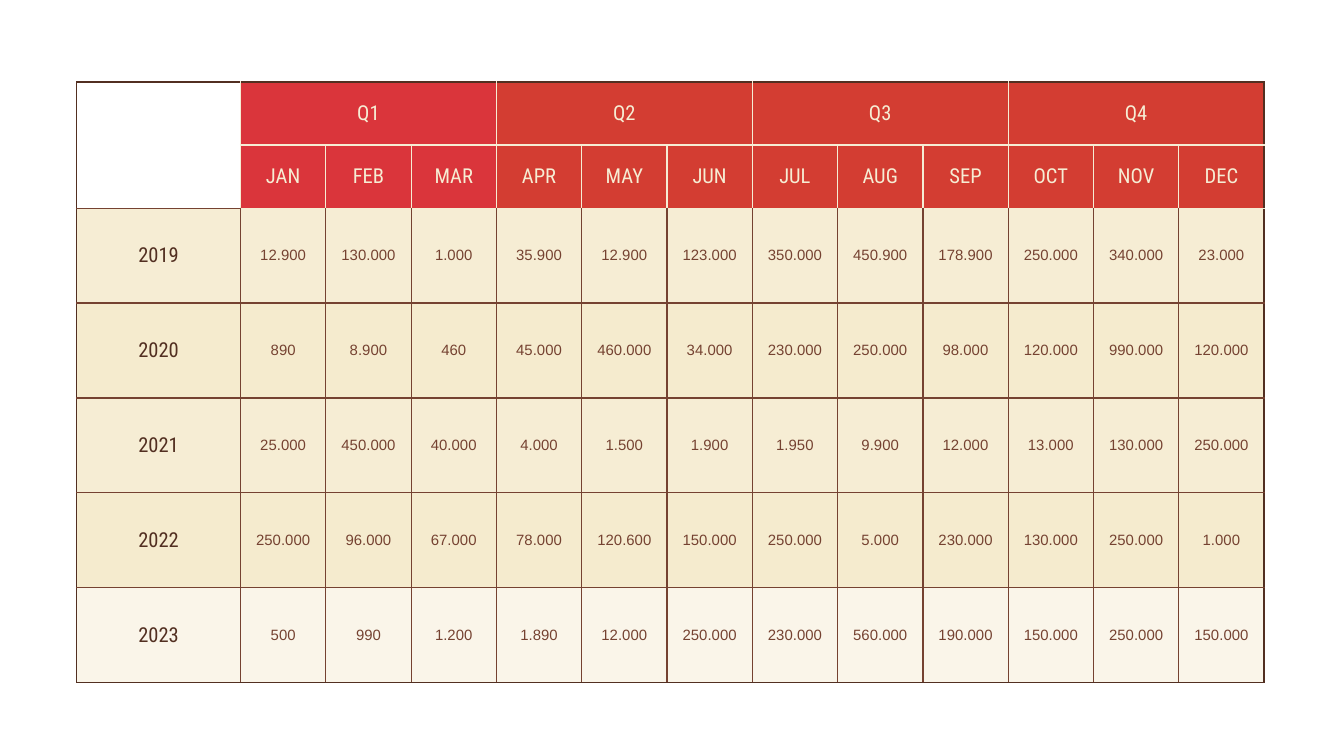
import pptx
import pptx.dml.color
import pptx.enum.text
import pptx.oxml.ns
import pptx.util
from lxml import etree

RGBColor = pptx.dml.color.RGBColor
WHITE = RGBColor(0xFF, 0xFF, 0xFF)
CRIMSON = RGBColor(0xDA, 0x35, 0x3B)
RED = RGBColor(0xD3, 0x3D, 0x32)
CREAM = RGBColor(0xF6, 0xED, 0xD4)
SAND = RGBColor(0xED, 0xD8, 0x9E)
BROWN = RGBColor(0x75, 0x42, 0x31)
DARK_BROWN = RGBColor(0x52, 0x2F, 0x21)

SLIDE_WIDTH = 10
SLIDE_HEIGHT = SLIDE_WIDTH * 9 / 16
LEFT, TOP, WIDTH, HEIGHT = 0.57, 0.61, 8.84, 4.47
YEAR_WIDTH, HEADER_HEIGHT, HEADER_ROWS = 1.22, 0.47, 2
QUARTER_MONTHS = 3

MONTHS = "JAN FEB MAR APR MAY JUN JUL AUG SEP OCT NOV DEC".split()
FIGURES = {
    "2019": "12.900 130.000 1.000 35.900 12.900 123.000 350.000 450.900 178.900 250.000 340.000 23.000",
    "2020": "890 8.900 460 45.000 460.000 34.000 230.000 250.000 98.000 120.000 990.000 120.000",
    "2021": "25.000 450.000 40.000 4.000 1.500 1.900 1.950 9.900 12.000 13.000 130.000 250.000",
    "2022": "250.000 96.000 67.000 78.000 120.600 150.000 250.000 5.000 230.000 130.000 250.000 1.000",
    "2023": "500 990 1.200 1.890 12.000 250.000 230.000 560.000 190.000 150.000 250.000 150.000",
}
YEAR_FILLS = [(CREAM, 100), (SAND, 50), (CREAM, 100), (SAND, 50), (CREAM, 50)]
LAST_ROW = HEADER_ROWS + len(FIGURES) - 1
LAST_COLUMN = len(MONTHS)


def write(cell, text, font="Roboto Condensed", size=11, color=CREAM):
    cell.vertical_anchor = pptx.enum.text.MSO_ANCHOR.MIDDLE
    cell.margin_left = cell.margin_right = pptx.util.Inches(0.04)
    cell.margin_top = cell.margin_bottom = pptx.util.Inches(0.02)
    paragraph = cell.text_frame.paragraphs[0]
    paragraph.alignment = pptx.enum.text.PP_ALIGN.CENTER
    run = paragraph.add_run()
    run.text = text
    run.font.name = font
    run.font.size = pptx.util.Pt(size)
    run.font.color.rgb = color


def paint(cell, color, opacity=100):
    cell.fill.solid()
    cell.fill.fore_color.rgb = color
    if opacity < 100:
        solid = cell._tc.tcPr.find(pptx.oxml.ns.qn("a:solidFill"))
        etree.SubElement(solid[0], pptx.oxml.ns.qn("a:alpha"), val=str(opacity * 1000))


def rule_cell(cell, row, column):
    upright = CREAM if row < HEADER_ROWS else BROWN
    above = CREAM if row <= HEADER_ROWS and column > 0 else BROWN
    below = CREAM if row < HEADER_ROWS and column > 0 else BROWN
    last_quarter = row == 0 and column == LAST_COLUMN - QUARTER_MONTHS + 1
    sides = {
        "a:lnL": DARK_BROWN if column == 0 else upright,
        "a:lnR": DARK_BROWN if column == LAST_COLUMN or last_quarter else upright,
        "a:lnT": DARK_BROWN if row == 0 else above,
        "a:lnB": DARK_BROWN if row == LAST_ROW else below,
    }
    properties = cell._tc.get_or_add_tcPr()
    for side, color in sides.items():
        line = etree.SubElement(properties, pptx.oxml.ns.qn(side), w=str(pptx.util.Pt(0.75)))
        solid = etree.SubElement(line, pptx.oxml.ns.qn("a:solidFill"))
        etree.SubElement(solid, pptx.oxml.ns.qn("a:srgbClr"), val=str(color))


def add_grid(slide):
    grid = slide.shapes.add_table(
        LAST_ROW + 1, LAST_COLUMN + 1,
        *map(pptx.util.Inches, (LEFT, TOP, WIDTH, HEIGHT))).table
    grid.first_row = grid.horz_banding = False
    month_width = (WIDTH - YEAR_WIDTH) / len(MONTHS)
    year_height = (HEIGHT - HEADER_ROWS * HEADER_HEIGHT) / len(FIGURES)
    for index, column in enumerate(grid.columns):
        column.width = pptx.util.Inches(month_width if index else YEAR_WIDTH)
    for index, row in enumerate(grid.rows):
        row.height = pptx.util.Inches(HEADER_HEIGHT if index < HEADER_ROWS else year_height)
    for row in range(LAST_ROW + 1):
        for column in range(LAST_COLUMN + 1):
            rule_cell(grid.cell(row, column), row, column)
    return grid


def fill_header(grid):
    corner = grid.cell(0, 0)
    corner.merge(grid.cell(HEADER_ROWS - 1, 0))
    corner.fill.background()
    for column, month in enumerate(MONTHS, 1):
        color = CRIMSON if column <= QUARTER_MONTHS else RED
        for row in range(HEADER_ROWS):
            paint(grid.cell(row, column), color)
        write(grid.cell(1, column), month)
    for quarter, start in enumerate(range(1, LAST_COLUMN + 1, QUARTER_MONTHS), 1):
        heading = grid.cell(0, start)
        heading.merge(grid.cell(0, start + QUARTER_MONTHS - 1))
        write(heading, f"Q{quarter}")


def fill_years(grid):
    for row, (year, figures) in enumerate(FIGURES.items(), HEADER_ROWS):
        color, opacity = YEAR_FILLS[row - HEADER_ROWS]
        for column in range(LAST_COLUMN + 1):
            paint(grid.cell(row, column), color, opacity)
        write(grid.cell(row, 0), year, color=DARK_BROWN)
        for column, figure in enumerate(figures.split(), 1):
            write(grid.cell(row, column), figure, font="Arial", size=8, color=BROWN)


def main():
    deck = pptx.Presentation()
    deck.slide_width = pptx.util.Inches(SLIDE_WIDTH)
    deck.slide_height = pptx.util.Inches(SLIDE_HEIGHT)
    slide = deck.slides.add_slide(deck.slide_layouts[6])
    slide.background.fill.solid()
    slide.background.fill.fore_color.rgb = WHITE
    grid = add_grid(slide)
    fill_header(grid)
    fill_years(grid)
    deck.save("out.pptx")


if __name__ == "__main__":
    main()
